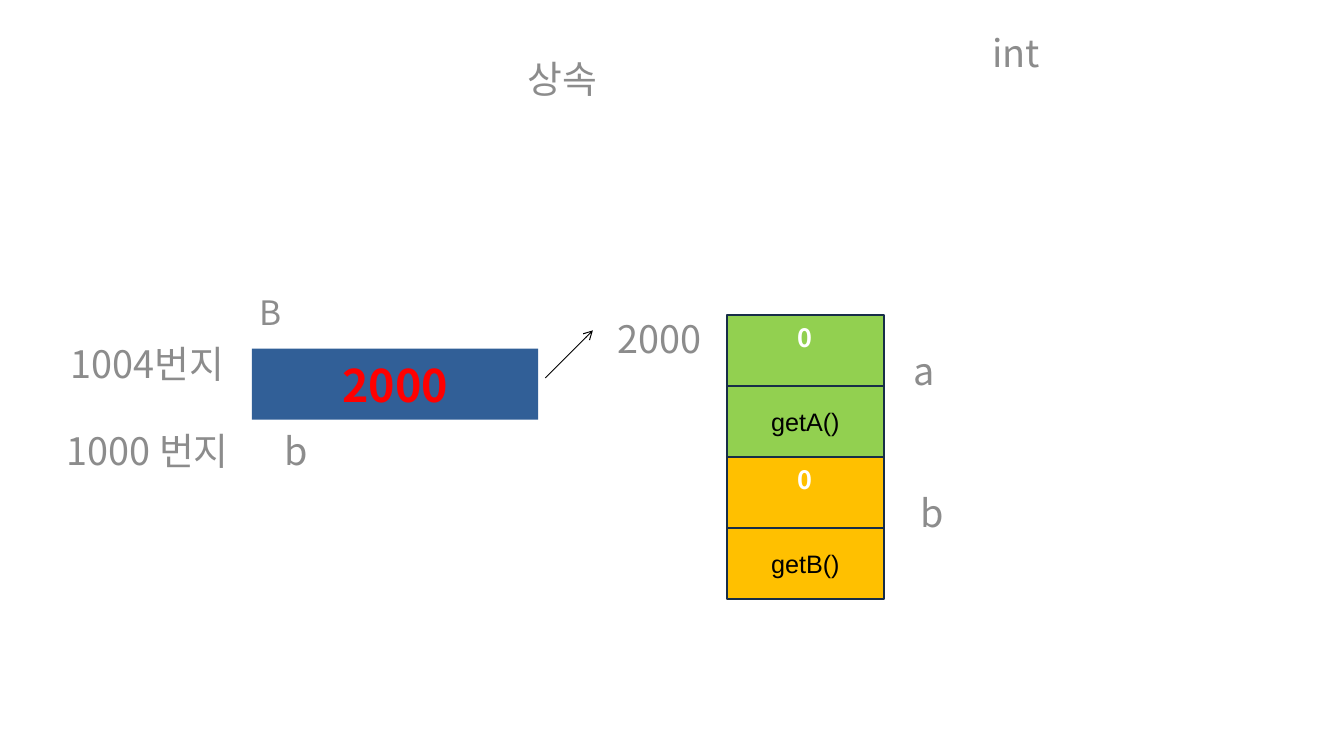
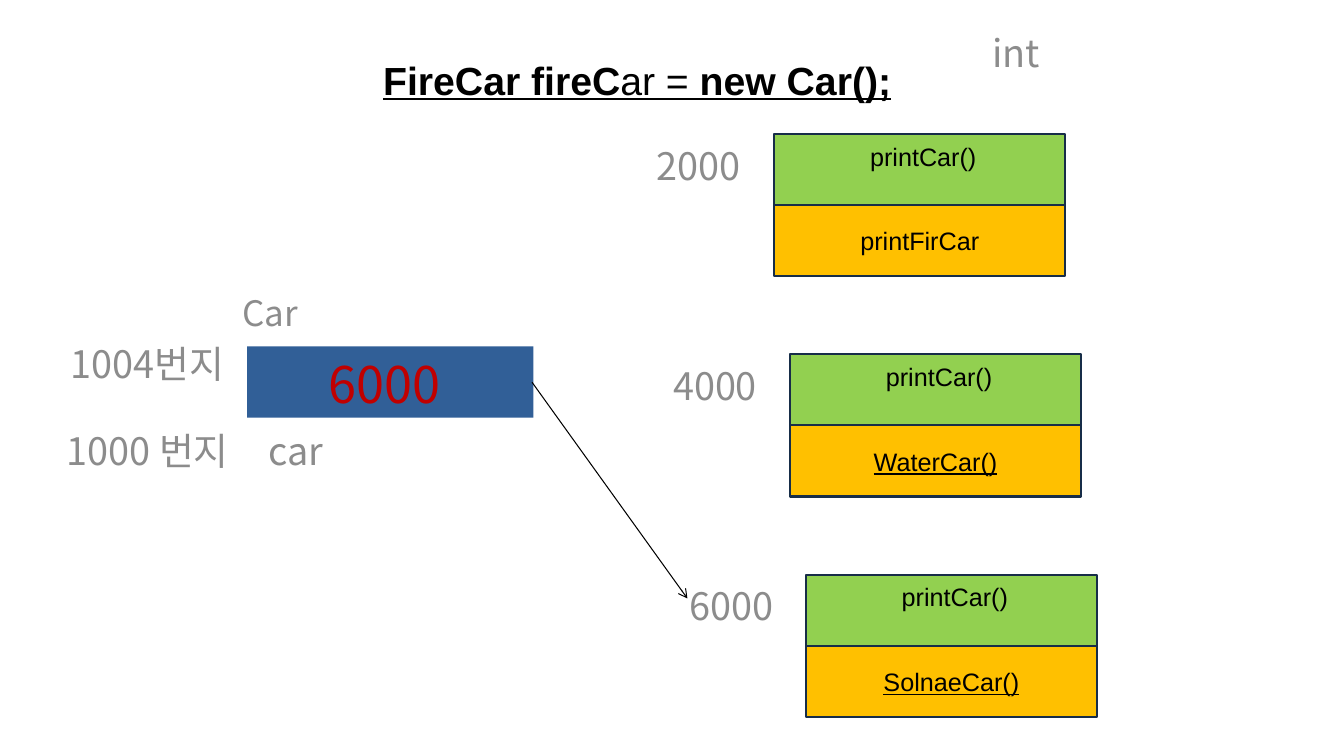
from lxml import etree
from pptx import Presentation
from pptx.dml.color import RGBColor
from pptx.enum.shapes import MSO_CONNECTOR, MSO_SHAPE
from pptx.enum.text import MSO_ANCHOR, MSO_AUTO_SIZE, PP_ALIGN
from pptx.oxml.ns import qn
from pptx.util import Pt

RECT, STRAIGHT = MSO_SHAPE.RECTANGLE, MSO_CONNECTOR.STRAIGHT
TOP, MIDDLE = MSO_ANCHOR.TOP, MSO_ANCHOR.MIDDLE
LEFT, CENTER = PP_ALIGN.LEFT, PP_ALIGN.CENTER
NO_FIT = MSO_AUTO_SIZE.NONE

GRAY = RGBColor(0x8C, 0x8C, 0x8C)
BLACK = RGBColor(0, 0, 0)
WHITE = RGBColor(0xFF, 0xFF, 0xFF)
RED = RGBColor(0xFF, 0, 0)
DARK_RED = RGBColor(0xC0, 0, 0)
BLUE = RGBColor(0x31, 0x5F, 0x97)
NAVY = RGBColor(0x17, 0x2D, 0x48)
GREEN = RGBColor(0x92, 0xD0, 0x50)
GOLD = RGBColor(0xFF, 0xC0, 0)

SANS, NOTO = "Arial", "Noto Sans CJK KR"
ROW, LABEL = 50.8, 34.5  # heights of a memory cell and a label

ZERO = dict(font=NOTO, color=WHITE, bold=True, anchor=TOP, top=5)
CODE = dict(font=SANS, color=BLACK)
HEAD = dict(CODE, anchor=TOP, top=5)
LINK = dict(CODE, underline=True)

# Labels: text, left, top, width
SHARED = [
    ("1004번지", 32.5, 237, 146),
    ("1000 번지", 32.5, 299.5, 146),
    ("int", 671, 15, 109.5),
]

# Stacks: left, top, width, cells; a cell is text, fill, text style
SLIDES = [
    dict(
        title=[("상속", None)], title_width=270, title_style={},
        kind="B", kind_size=24,
        pointer=("2000", 180, 249),
        pointer_style=dict(size=32, color=RED, bold=True),
        labels=[("b", 178.5, 299.5, 65.5), ("2000 ", 423.5, 219.5, 101.5),
                ("a", 643, 242, 34), ("b", 648.5, 343.5, 34)],
        stacks=[(519, 225, 112.5, [
            ("0", GREEN, ZERO), ("getA()", GREEN, CODE),
            ("0", GOLD, ZERO), ("getB()", GOLD, CODE)])],
        arrow=(389.5, 270, 423.5, 236),
    ),
    dict(
        title=[("FireCar fireC", True), ("ar = ", False), ("new Car();", True)],
        title_width=382.5,
        title_style=dict(LINK, size=28, align=LEFT),
        kind="Car", kind_size=25,
        pointer=("6000 ", 176.5, 247.5),
        pointer_style=dict(size=36, color=DARK_RED, top=6),
        labels=[("car", 178.5, 299.5, 65.5)] + [
            (name, 451.5 + 11.5 * i, 95.7 + 157.4 * i, 101.5)
            for i, name in enumerate(["2000 ", "4000 ", "6000 "])],
        stacks=[
            (553 + 11.3 * i, 95.7 + 157.4 * i, 208,
             [(" printCar()", GREEN, HEAD), (name, GOLD, style)])
            for i, (name, style) in enumerate([
                ("printFirCar", CODE), ("WaterCar()", LINK),
                ("SolnaeCar()", LINK)])],
        arrow=(380, 273, 491, 427.5),
    ),
]


def place(shape, left, top, width, height):
    shape.left, shape.top = Pt(left), Pt(top)
    shape.width, shape.height = Pt(width), Pt(height)


def write(shape, runs, size=27, font=NOTO, color=GRAY, bold=False,
          underline=False, align=CENTER, anchor=TOP, top=6):
    """Fill a shape with one paragraph; each run is (text, bold or None)."""
    frame = shape.text_frame
    frame.word_wrap, frame.auto_size = True, NO_FIT
    frame.vertical_anchor = anchor
    frame.margin_left = frame.margin_right = Pt(7.2)
    frame.margin_top, frame.margin_bottom = Pt(top), Pt(3.6)
    para = frame.paragraphs[0]
    para.alignment = align
    para.space_before = Pt(0)
    face = para.font
    face.size, face.bold, face.underline = Pt(size), bold, underline
    face.color.rgb = color
    face.name = font
    props = para._p.find(".//" + qn("a:defRPr"))
    etree.SubElement(props, qn("a:ea")).set("typeface", font)
    for text, strong in runs:
        run = para.add_run()
        run.text = text
        if strong is not None:
            run.font.bold = strong


def add_label(slide, text, left, top, width):
    box = slide.shapes.add_textbox(Pt(left), Pt(top), Pt(width), Pt(LABEL))
    write(box, [(text, None)])


def add_cell(slide, text, left, top, width, fill, line, style):
    cell = slide.shapes.add_shape(RECT, Pt(left), Pt(top), Pt(width), Pt(ROW))
    cell.shadow.inherit = False
    cell.fill.solid()
    cell.fill.fore_color.rgb = fill
    if line:
        cell.line.color.rgb = line
        cell.line.width = Pt(1.5)
    else:
        cell.line.fill.background()
    write(cell, [(text, None)], **{"size": 18, "anchor": MIDDLE, "top": 3.6, **style})


def add_arrow(slide, ends):
    arrow = slide.shapes.add_connector(STRAIGHT, *map(Pt, ends))
    arrow.line.color.rgb = BLACK
    arrow.line.width = Pt(0.75)
    props = arrow._element.spPr
    tail = etree.SubElement(props.find(qn("a:ln")), qn("a:tailEnd"))
    tail.set("type", "arrow")
    etree.SubElement(props, qn("a:effectLst"))


def build(deck, data):
    slide = deck.slides.add_slide(deck.slide_layouts[0])
    title, kind = slide.placeholders
    place(title, 266.5, 34, data["title_width"], 96)
    write(title, data["title"], **data["title_style"])
    place(kind, 165, 202.5, 56, LABEL)
    write(kind, [(data["kind"], None)], size=data["kind_size"])
    for label in SHARED + data["labels"]:
        add_label(slide, *label)
    add_cell(slide, *data["pointer"], 204.5, BLUE, None, data["pointer_style"])
    for left, top, width, cells in data["stacks"]:
        for i, (text, fill, style) in enumerate(cells):
            add_cell(slide, text, left, top + i * ROW, width, fill, NAVY, style)
    add_arrow(slide, data["arrow"])


def main():
    deck = Presentation()
    deck.slide_width, deck.slide_height = Pt(960), Pt(540)
    for data in SLIDES:
        build(deck, data)
    deck.save("out.pptx")


if __name__ == "__main__":
    main()
